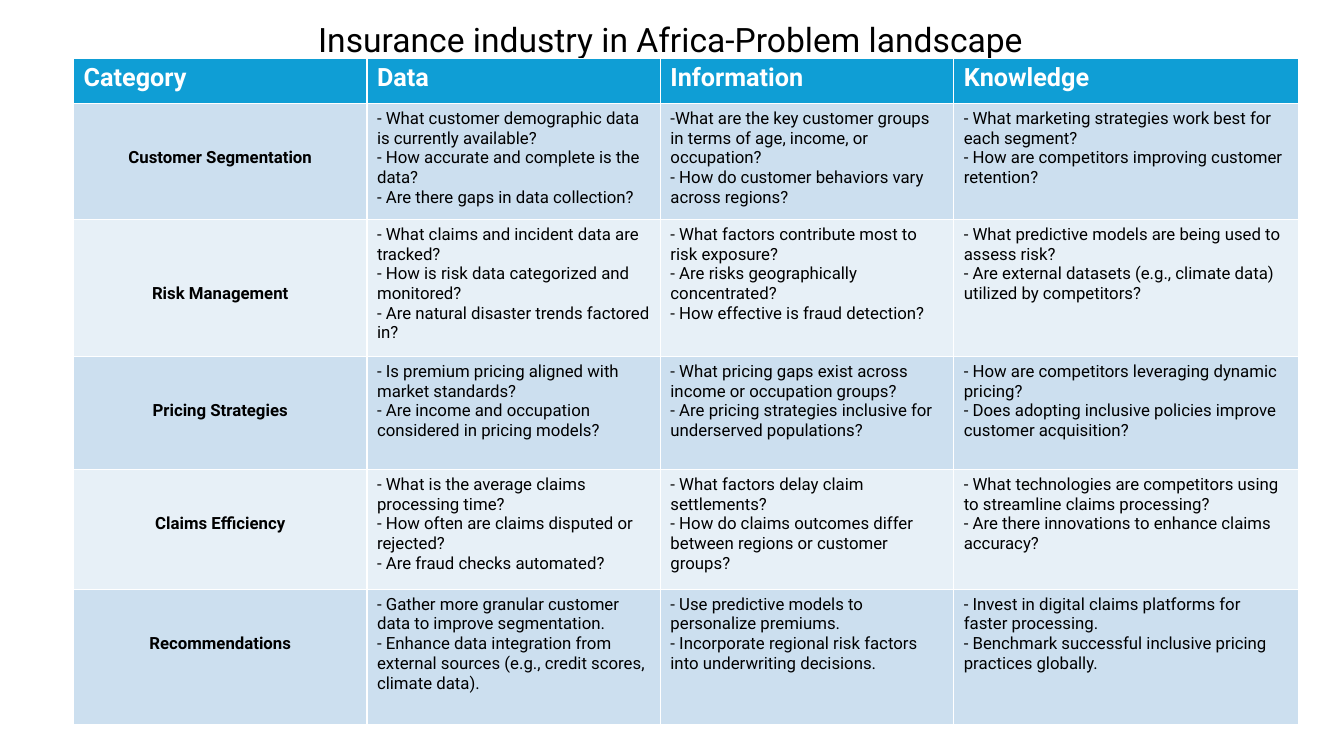
from dataclasses import dataclass

from pptx import Presentation
from pptx.dml.color import RGBColor
from pptx.enum.text import MSO_ANCHOR, MSO_AUTO_SIZE, PP_ALIGN
from pptx.table import Table, _Cell
from pptx.util import Inches, Pt

FONT = "Roboto"
BLACK = RGBColor(0x00, 0x00, 0x00)
WHITE = RGBColor(0xFF, 0xFF, 0xFF)
HEADER_BLUE = RGBColor(0x0F, 0x9E, 0xD5)
BAND_COLOURS = (RGBColor(0xCC, 0xDF, 0xEF), RGBColor(0xE7, 0xF0, 0xF7))

COLUMN_WIDTHS = (2.91, 2.91, 2.91, 3.42)
HEADER_HEIGHT = 0.45
CELL_MARGIN = 0.05
LINE_HEIGHT = 0.195


@dataclass(frozen=True)
class TextStyle:
    size: int
    colour: RGBColor = BLACK
    bold: bool = False
    align: PP_ALIGN = PP_ALIGN.LEFT


@dataclass(frozen=True)
class Category:
    name: str
    height: float
    lines_above: int
    data: tuple[str, ...]
    information: tuple[str, ...]
    knowledge: tuple[str, ...]


TITLE_STYLE = TextStyle(24, align=PP_ALIGN.CENTER)
HEADER_STYLE = TextStyle(18, WHITE, bold=True)
NAME_STYLE = TextStyle(12, bold=True, align=PP_ALIGN.CENTER)
BODY_STYLE = TextStyle(12)

HEADERS = ("Category", "Data", "Information", "Knowledge")
CATEGORIES = (
    Category(
        "Customer Segmentation", 1.15, 2,
        ("- What customer demographic data is currently available?",
         "- How accurate and complete is the data?",
         "- Are there gaps in data collection?"),
        ("-What are the key customer groups in terms of age, income, or occupation?",
         "- How do customer behaviors vary across regions?"),
        ("- What marketing strategies work best for each segment?",
         "- How are competitors improving customer retention?"),
    ),
    Category(
        "Risk Management", 1.36, 3,
        ("- What claims and incident data are tracked?",
         "- How is risk data categorized and monitored?",
         "- Are natural disaster trends factored in?"),
        ("- What factors contribute most to risk exposure?",
         "- Are risks geographically concentrated?",
         "- How effective is fraud detection?"),
        ("- What predictive models are being used to assess risk?",
         "- Are external datasets (e.g., climate data) utilized by competitors?"),
    ),
    Category(
        "Pricing Strategies", 1.12, 2,
        ("- Is premium pricing aligned with market standards?",
         "- Are income and occupation considered in pricing models?"),
        ("- What pricing gaps exist across income or occupation groups?",
         "- Are pricing strategies inclusive for underserved populations?"),
        ("- How are competitors leveraging dynamic pricing?",
         "- Does adopting inclusive policies improve customer acquisition?"),
    ),
    Category(
        "Claims Efficiency", 1.19, 2,
        ("- What is the average claims processing time?",
         "- How often are claims disputed or rejected?",
         "- Are fraud checks automated?"),
        ("- What factors delay claim settlements?",
         "- How do claims outcomes differ between regions or customer groups?"),
        ("- What technologies are competitors using to streamline claims processing?",
         "- Are there innovations to enhance claims accuracy?"),
    ),
    Category(
        "Recommendations", 1.34, 2,
        ("- Gather more granular customer data to improve segmentation.",
         "- Enhance data integration from external sources "
         "(e.g., credit scores, climate data)."),
        ("- Use predictive models to personalize premiums.",
         "- Incorporate regional risk factors into underwriting decisions."),
        ("- Invest in digital claims platforms for faster processing.",
         "- Benchmark successful inclusive pricing practices globally."),
    ),
)


def write_lines(frame, lines: tuple[str, ...], style: TextStyle) -> None:
    """Write one paragraph per line in the given style."""
    font_format = {"name": FONT, "size": Pt(style.size), "bold": style.bold}
    for index, line in enumerate(lines):
        para = frame.add_paragraph() if index else frame.paragraphs[0]
        para.alignment = style.align
        span = para.add_run()
        span.text = line
        for attribute, value in font_format.items():
            setattr(span.font, attribute, value)
        span.font.color.rgb = style.colour


def fill_cell(cell: _Cell, lines: tuple[str, ...], style: TextStyle,
              colour: RGBColor, lines_above: int = 0) -> None:
    cell.fill.solid()
    cell.fill.fore_color.rgb = colour
    cell.margin_top = Inches(CELL_MARGIN + lines_above * LINE_HEIGHT)
    write_lines(cell.text_frame, lines, style)


def add_title(page, text: str) -> None:
    title = page.shapes.title
    place = {"left": 0.3, "top": 0.18, "width": 12.7, "height": 7.11}
    for attribute, value in place.items():
        setattr(title, attribute, Inches(value))
    frame_format = {"vertical_anchor": MSO_ANCHOR.TOP, "word_wrap": True,
                    "auto_size": MSO_AUTO_SIZE.NONE}
    for attribute, value in frame_format.items():
        setattr(title.text_frame, attribute, value)
    write_lines(title.text_frame, (text,), TITLE_STYLE)
    para = title.text_frame.paragraphs[0]
    para.line_spacing = 0.9
    para.space_before = Pt(10)


def add_landscape_table(page) -> Table:
    heights = (HEADER_HEIGHT, *(category.height for category in CATEGORIES))
    table = page.shapes.add_table(
        len(heights), len(HEADERS), Inches(0.73), Inches(0.58),
        Inches(sum(COLUMN_WIDTHS)), Inches(sum(heights))).table
    for column, width in zip(table.columns, COLUMN_WIDTHS):
        column.width = Inches(width)
    for row, height in zip(table.rows, heights):
        row.height = Inches(height)
    return table


def main() -> None:
    deck = Presentation()
    deck.slide_width, deck.slide_height = Inches(13.33), Inches(7.5)
    page = deck.slides.add_slide(deck.slide_layouts.get_by_name("Title Only"))

    # Title
    add_title(page, "Insurance industry in Africa-Problem landscape")

    # Table header
    table = add_landscape_table(page)
    for column, header in enumerate(HEADERS):
        fill_cell(table.cell(0, column), (header,), HEADER_STYLE, HEADER_BLUE)

    # Category rows in alternating bands
    for index, category in enumerate(CATEGORIES):
        band = BAND_COLOURS[index % len(BAND_COLOURS)]
        fill_cell(table.cell(index + 1, 0), (category.name,), NAME_STYLE,
                  band, category.lines_above)
        questions = (category.data, category.information, category.knowledge)
        for column, lines in enumerate(questions, start=1):
            fill_cell(table.cell(index + 1, column), lines, BODY_STYLE, band)

    deck.save("out.pptx")


if __name__ == "__main__":
    main()
